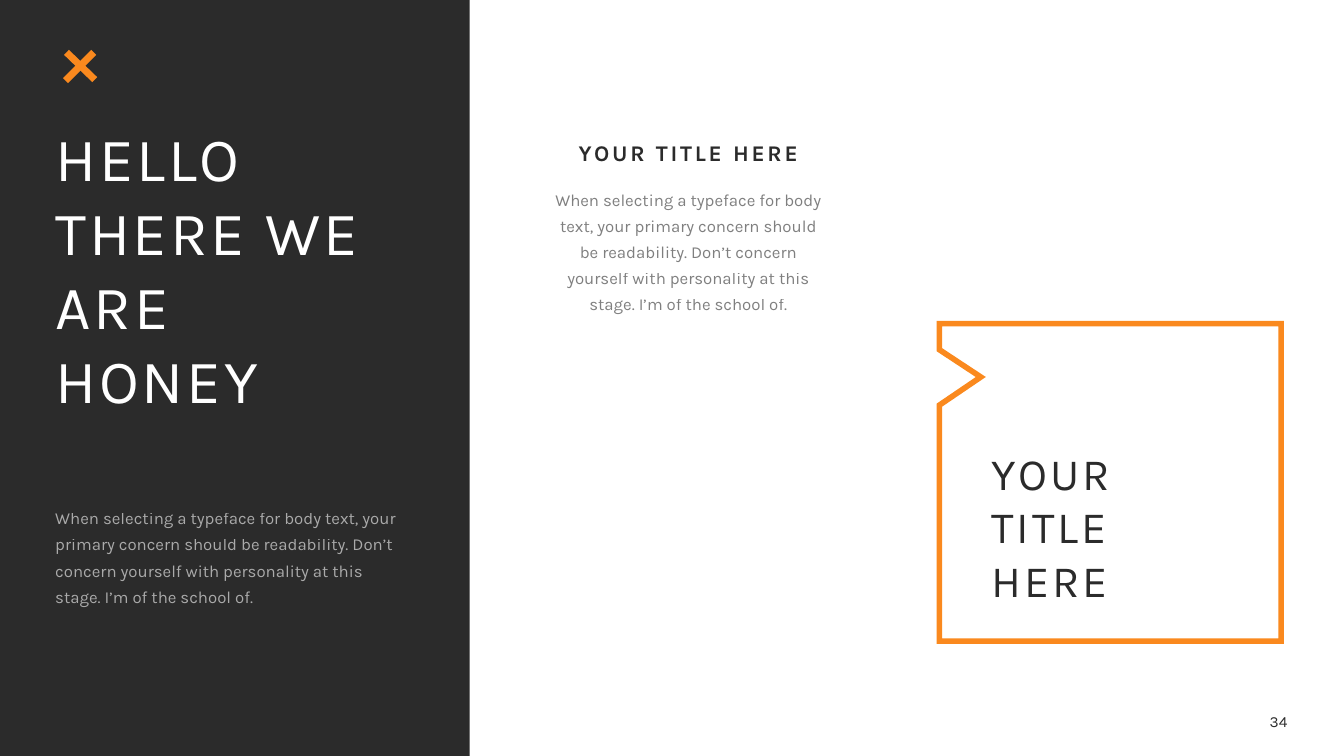
import pptx
import pptx.util
import pptx.dml.color
import pptx.enum.shapes
import pptx.enum.text
import pptx.oxml
import pptx.oxml.ns

Pt = pptx.util.Pt
ALIGN = pptx.enum.text.PP_ALIGN
ANCHOR = pptx.enum.text.MSO_ANCHOR
AUTO = pptx.enum.text.MSO_AUTO_SIZE

COLORS = {"dark": "2B2B2B", "white": "FFFFFF", "orange": "FA891E"}
FONT = "Karla"
BODY = ("When selecting a typeface for body text, your primary concern should be "
        "readability. Don’t concern yourself with personality at this stage. "
        "I’m of the school of.")

# Boxes are left, top, width, height in points.
SLIDE_SIZE = (960, 540)
PANEL_BOX = (0, 0, 335.5, 540)
HEADLINE = {"lines": ["HELLO THERE WE ARE", "HONEY"], "box": (32.4, 82.1, 284.4, 220.3),
            "size": 44, "color": "white", "tracking": 2, "grow": True}
INTRO = {"lines": [BODY], "box": (32.4, 355, 259.2, 82.8),
         "size": 12, "color": "white", "alpha": 60, "spacing": 1.3, "grow": True}
FEATURE = [
    {"lines": [BODY], "box": (389.5, 127.4, 204.5, 100.1), "size": 12, "color": "dark",
     "alpha": 60, "spacing": 1.3, "align": ALIGN.CENTER, "grow": True},
    {"lines": ["YOUR TITLE HERE"], "box": (389.5, 97.9, 204.5, 29.5), "size": 16,
     "color": "dark", "bold": True, "tracking": 2, "spacing": 0.9, "align": ALIGN.CENTER},
]
CALLOUT = {"lines": ["YOUR TITLE HERE"], "box": (701.3, 314.6, 142.6, 123.8),
           "size": 32, "color": "dark", "tracking": 2, "grow": True}
PAGE_NUMBER = {"lines": ["34"], "box": (896.4, 507.6, 33.8, 15.1), "size": 11,
               "color": "dark", "align": ALIGN.CENTER, "anchor": ANCHOR.MIDDLE}
CROSS = [((67, 37.4), (46.8, 57.6)), ((67.7, 56.9), (47.5, 37.4))]
FRAME = [(671, 231.1), (915.1, 231.1), (915.1, 457.9), (671, 457.9),
         (671, 289.4), (700.6, 269.3), (671, 249.8)]


def rgb(name):
    return pptx.dml.color.RGBColor.from_string(COLORS[name])


def add_child(parent, tag, **attributes):
    child = pptx.oxml.parse_xml(f"<a:{tag} {pptx.oxml.ns.nsdecls('a')}/>")
    for key, value in attributes.items():
        child.set(key, str(value))
    parent.append(child)


def write(shape, content):
    """Place a text shape and fill it with its styled lines."""
    shape.left, shape.top, shape.width, shape.height = map(Pt, content["box"])
    frame = shape.text_frame
    frame.word_wrap = True
    frame.auto_size = AUTO.SHAPE_TO_FIT_TEXT if content.get("grow") else AUTO.NONE
    frame.vertical_anchor = content.get("anchor", ANCHOR.TOP)
    for index, line in enumerate(content["lines"]):
        paragraph = frame.add_paragraph() if index else frame.paragraphs[0]
        paragraph.alignment = content.get("align", ALIGN.LEFT)
        paragraph.line_spacing = content.get("spacing", 1.0)
        run = paragraph.add_run()
        run.text = line
        run.font.name = FONT
        run.font.size = Pt(content["size"])
        run.font.bold = content.get("bold", False)
        run.font.color.rgb = rgb(content["color"])
        properties = run._r.get_or_add_rPr()
        if "tracking" in content:
            properties.set("spc", str(content["tracking"] * 100))
        if "alpha" in content:
            color = properties.find(".//" + pptx.oxml.ns.qn("a:srgbClr"))
            add_child(color, "alpha", val=content["alpha"] * 1000)


def add_text(shapes, content):
    write(shapes.add_textbox(*map(Pt, content["box"])), content)


def add_cross(shapes):
    for start, end in CROSS:
        stroke = shapes.add_connector(pptx.enum.shapes.MSO_CONNECTOR.STRAIGHT,
                                      *map(Pt, start + end))
        stroke.line.color.rgb = rgb("orange")
        stroke.line.width = Pt(5)
        add_child(stroke.element.spPr, "effectLst")


def add_frame(shapes):
    points = [(Pt(x), Pt(y)) for x, y in FRAME]
    builder = shapes.build_freeform(*points[0])
    builder.add_line_segments(points[1:], close=True)
    frame = builder.convert_to_shape()
    frame.shadow.inherit = False
    frame.fill.background()
    frame.line.color.rgb = rgb("orange")
    frame.line.width = Pt(4)
    add_child(frame.line._get_or_add_ln(), "miter", lim=800000)


def main():
    deck = pptx.Presentation()
    deck.slide_width, deck.slide_height = map(Pt, SLIDE_SIZE)
    slide = deck.slides.add_slide(deck.slide_layouts.get_by_name("Title Only"))
    shapes = slide.shapes

    panel = shapes.add_shape(pptx.enum.shapes.MSO_SHAPE.RECTANGLE, *map(Pt, PANEL_BOX))
    panel.shadow.inherit = False
    panel.fill.solid()
    panel.fill.fore_color.rgb = rgb("dark")
    panel.line.fill.background()
    shapes.title.element.addprevious(panel.element)

    write(shapes.title, HEADLINE)
    for content in (PAGE_NUMBER, CALLOUT, INTRO):
        add_text(shapes, content)
    feature = shapes.add_group_shape()
    for content in FEATURE:
        add_text(feature.shapes, content)
    add_cross(shapes.add_group_shape().shapes)
    add_frame(shapes)
    deck.save("out.pptx")


if __name__ == "__main__":
    main()
